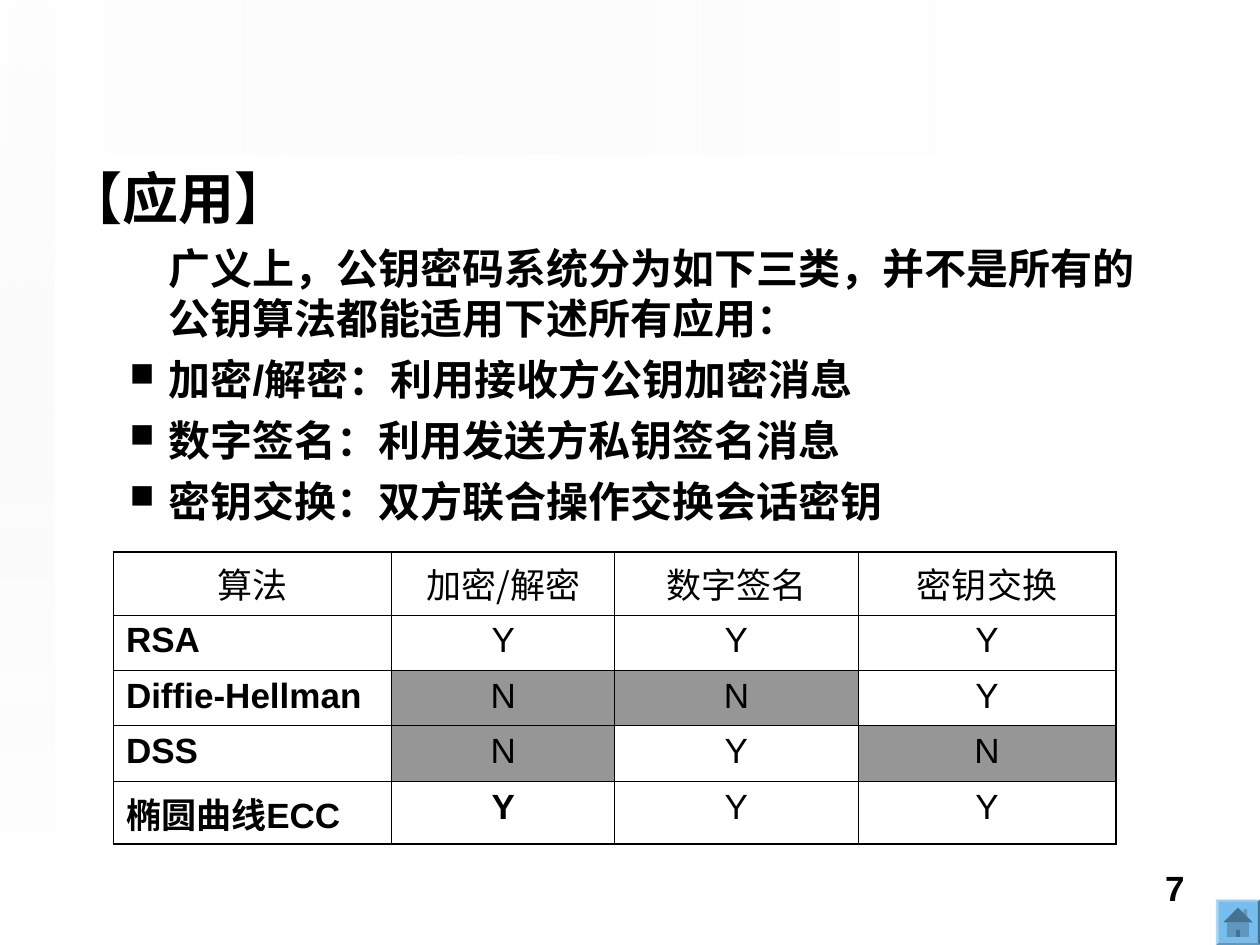
from dataclasses import dataclass

from lxml.etree import SubElement
from pptx import Presentation
from pptx.dml.color import RGBColor
from pptx.enum.shapes import MSO_SHAPE
from pptx.enum.text import PP_ALIGN
from pptx.oxml import parse_xml
from pptx.oxml.ns import nsdecls, qn
from pptx.shapes.autoshape import Shape
from pptx.slide import Slide
from pptx.table import _Cell
from pptx.text.text import _Paragraph
from pptx.util import Inches, Pt

BLACK = RGBColor(0x00, 0x00, 0x00)
WHITE = RGBColor(0xFF, 0xFF, 0xFF)
PALE_GRAY = RGBColor(0xEA, 0xEA, 0xEA)
NO_GRAY = RGBColor(0x96, 0x96, 0x96)
HOME_BLUE = RGBColor(0x77, 0xBD, 0xED)
LATIN = "Arial"
CJK = "Noto Sans CJK SC"
OUTER, INNER = Pt(1.08), Pt(0.45)


@dataclass
class Band:
    left: float
    top: float
    width: float
    height: float
    rotation: int
    end_opacity: int


@dataclass
class Line:
    text: str
    size: int = 24
    margin: float = 0.81
    indent: float = -0.31
    spacing: float = 1.0
    space_before: int = 6
    bullet: str = ""


BANDS = [
    Band(3.46, -3.46, 1.23, 8.15, 90, 49),
    Band(0, 0, 0.43, 7.26, 180, 65),
]
LINES = [
    Line("【应用】", size=32, margin=0.38, indent=-0.38, spacing=0.9, space_before=0),
    Line("广义上，公钥密码系统分为如下三类，并不是所有的公钥算法都能适用下述所有应用：", indent=0),
    Line("加密/解密：利用接收方公钥加密消息", bullet="■"),
    Line("数字签名：利用发送方私钥签名消息", bullet="■"),
    Line("密钥交换：双方联合操作交换会话密钥", bullet="■"),
]
COLUMN_WIDTHS = [2.21, 1.77, 1.93, 2.05]
ROW_HEIGHTS = [0.5, 0.44, 0.44, 0.44, 0.5]
ALGORITHMS = [
    ["算法", "加密/解密", "数字签名", "密钥交换"],
    ["RSA", "Y", "Y", "Y"],
    ["Diffie-Hellman", "N", "N", "Y"],
    ["DSS", "N", "Y", "N"],
    ["椭圆曲线ECC", "Y", "Y", "Y"],
]


def set_font(paragraph: _Paragraph, size: int, bold: bool, latin: str = LATIN) -> None:
    font = paragraph.font
    font.size, font.bold, font.name = Pt(size), bold, latin
    font.color.rgb = BLACK
    properties = paragraph._p.get_or_add_pPr().find(qn("a:defRPr"))
    SubElement(properties, qn("a:ea"), typeface=CJK)


def add_plain_shape(
    slide: Slide, preset: MSO_SHAPE, left: float, top: float, width: float, height: float
) -> Shape:
    shape = slide.shapes.add_shape(preset, Inches(left), Inches(top), Inches(width), Inches(height))
    shape.shadow.inherit = False
    shape.line.fill.background()
    return shape


def draw_band(slide: Slide, band: Band) -> None:
    shape = add_plain_shape(slide, MSO_SHAPE.RECTANGLE, band.left, band.top, band.width, band.height)
    shape.rotation = band.rotation
    shape.fill.gradient()
    shape.fill.gradient_angle = 90
    ends = [(PALE_GRAY, 0), (WHITE, band.end_opacity)]
    for stop, (color, opacity) in zip(shape.fill.gradient_stops, ends):
        stop.color.rgb = color
        SubElement(stop._gs.find(qn("a:srgbClr")), qn("a:alpha"), val=str(opacity * 1000))


def draw_home_button(slide: Slide) -> None:
    rim = add_plain_shape(slide, MSO_SHAPE.BEVEL, 9.65, 7.14, 0.35, 0.36)
    rim.adjustments[0] = 0.06
    home = add_plain_shape(slide, MSO_SHAPE.ACTION_BUTTON_HOME, 9.67, 7.16, 0.31, 0.32)
    for part in (rim, home):
        part.fill.solid()
        part.fill.fore_color.rgb = HOME_BLUE


def draw_page_number(slide: Slide, number: str) -> None:
    frame = slide.shapes.add_textbox(Inches(7.17), Inches(6.83), Inches(2.33), Inches(0.52)).text_frame
    frame.word_wrap = True
    paragraph = frame.paragraphs[0]
    paragraph.text = number
    paragraph.alignment = PP_ALIGN.RIGHT
    set_font(paragraph, 20, True)


def draw_body(slide: Slide, lines: list[Line]) -> None:
    frame = slide.shapes.add_textbox(Inches(0.43), Inches(1.31), Inches(8.82), Inches(5.35)).text_frame
    frame.word_wrap = True
    for index, line in enumerate(lines):
        paragraph = frame.add_paragraph() if index else frame.paragraphs[0]
        paragraph.text = line.text
        paragraph.line_spacing = line.spacing
        paragraph.space_before = Pt(line.space_before)
        properties = paragraph._p.get_or_add_pPr()
        properties.set("marL", str(Inches(line.margin)))
        properties.set("indent", str(Inches(line.indent)))
        if line.bullet:
            color = SubElement(properties, qn("a:buClr"))
            SubElement(color, qn("a:srgbClr"), val=str(BLACK))
            SubElement(properties, qn("a:buSzPct"), val="80000")
            SubElement(properties, qn("a:buChar"), char=line.bullet)
        else:
            SubElement(properties, qn("a:buNone"))
        set_font(paragraph, line.size, True)


def set_borders(cell: _Cell, widths: dict[str, int]) -> None:
    properties = cell._tc.get_or_add_tcPr()
    for position, (side, width) in enumerate(widths.items()):
        properties.insert(position, parse_xml(
            f'<a:ln{side} {nsdecls("a")} w="{width}"><a:solidFill>'
            f'<a:srgbClr val="{BLACK}"/></a:solidFill></a:ln{side}>'))


def draw_table(slide: Slide, rows: list[list[str]]) -> None:
    last_row, last_column = len(rows) - 1, len(COLUMN_WIDTHS) - 1
    table = slide.shapes.add_table(
        len(rows), len(COLUMN_WIDTHS), Inches(0.9), Inches(4.38),
        Inches(sum(COLUMN_WIDTHS)), Inches(sum(ROW_HEIGHTS))).table
    table.first_row = table.horz_banding = False
    for column, width in zip(table.columns, COLUMN_WIDTHS):
        column.width = Inches(width)
    for r, row in enumerate(rows):
        table.rows[r].height = Inches(ROW_HEIGHTS[r])
        for c, value in enumerate(row):
            cell = table.cell(r, c)
            cell.text = value
            cell.fill.solid()
            cell.fill.fore_color.rgb = NO_GRAY if value == "N" else WHITE
            set_borders(cell, {
                "L": OUTER if c == 0 else INNER,
                "R": OUTER if c == last_column else INNER,
                "T": OUTER if r == 0 else INNER,
                "B": OUTER if r == last_row else INNER,
            })
            is_name = r > 0 and c == 0
            paragraph = cell.text_frame.paragraphs[0]
            paragraph.alignment = PP_ALIGN.LEFT if is_name else PP_ALIGN.CENTER
            bold = is_name or (r, c) == (last_row, 1)
            set_font(paragraph, 20, bold, LATIN if r else CJK)


def main() -> None:
    """Build the slide on the applications of public-key algorithms."""
    presentation = Presentation()
    presentation.slide_width, presentation.slide_height = Inches(10), Inches(7.5)
    slide = presentation.slides.add_slide(presentation.slide_layouts[6])
    for band in BANDS:
        draw_band(slide, band)
    draw_home_button(slide)
    draw_page_number(slide, "7")
    draw_body(slide, LINES)
    draw_table(slide, ALGORITHMS)
    presentation.save("out.pptx")


if __name__ == "__main__":
    main()
